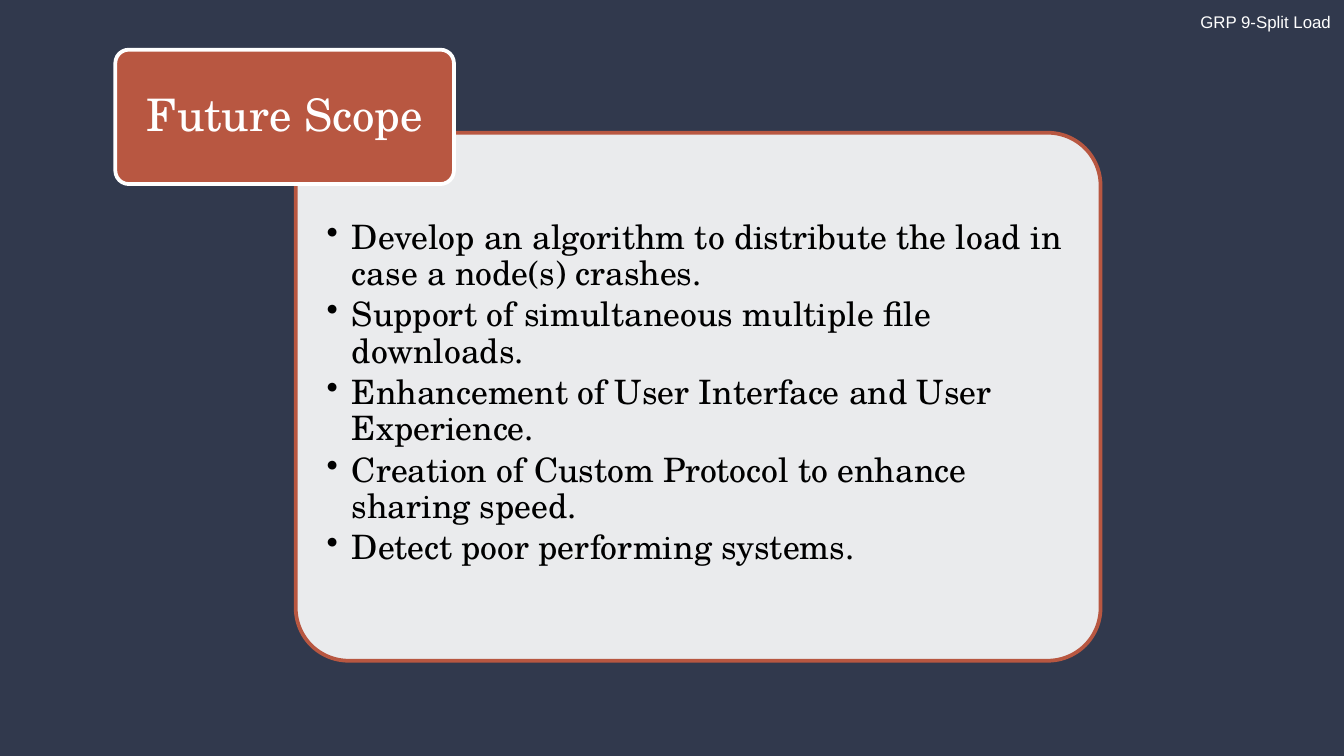
"""Build the Future Scope slide: a title tab over a card of bullet points."""
from lxml import etree
from pptx import Presentation
from pptx import util as u
from pptx.dml.color import RGBColor
from pptx.enum import shapes, text
from pptx.oxml.ns import qn

COLOURS = {"night": "31394D", "rust": "B85741", "white": "FFFFFF", "black": "000000"}
SERIF = "TeX Gyre Schola"
POINTS = [
    "Develop an algorithm to distribute the load in case a node(s) crashes.",
    "Support of simultaneous multiple file downloads.",
    "Enhancement of User Interface and User Experience.",
    "Creation of Custom Protocol to enhance sharing speed.",
    "Detect poor performing systems.",
]


def colour(name):
    return RGBColor.from_string(COLOURS[name])


def set_fill_opacity(shape, percent):
    tint = shape.fill._xPr.find(qn("a:solidFill"))[0]
    etree.SubElement(tint, qn("a:alpha"), val=str(percent * 1000))


def add_bullet(paragraph, indent):
    properties = paragraph._p.get_or_add_pPr()
    properties.set("marL", str(int(indent)))
    properties.set("indent", str(-int(indent)))
    tint = etree.SubElement(properties, qn("a:buClr"))
    etree.SubElement(tint, qn("a:srgbClr"), val=COLOURS["black"])
    etree.SubElement(properties, qn("a:buChar"), char="•")


def style_paragraph(paragraph, words, size, ink, align, face=SERIF):
    paragraph.text = words
    paragraph.alignment = align
    paragraph.font.size = u.Pt(size)
    paragraph.font.name = face
    paragraph.font.color.rgb = colour(ink)


def add_panel(page, left, top, width, height, fill, line):
    panel = page.shapes.add_shape(
        shapes.MSO_SHAPE.ROUNDED_RECTANGLE,
        u.Cm(left), u.Cm(top), u.Cm(width), u.Cm(height))
    panel.adjustments[0] = 0.1
    panel.shadow.inherit = False
    panel.fill.solid()
    panel.fill.fore_color.rgb = colour(fill)
    panel.line.color.rgb = colour(line)
    panel.line.width = u.Pt(2)
    panel.text_frame.word_wrap = True
    return panel


def add_label(page):
    box = page.shapes.add_textbox(u.Cm(22.4), u.Cm(0.1), u.Cm(3), u.Cm(0.64))
    box.text_frame.word_wrap = True
    style_paragraph(box.text_frame.paragraphs[0], "GRP 9-Split Load", 9, "white",
                    text.PP_ALIGN.RIGHT, "Arial")


def add_points_card(page):
    card = add_panel(page, 5.59, 2.51, 15.21, 9.98, "white", "rust")
    set_fill_opacity(card, 90)
    frame = card.text_frame
    frame.vertical_anchor = text.MSO_ANCHOR.TOP
    frame.margin_left, frame.margin_right = u.Cm(0.29), u.Cm(0.32)
    frame.margin_top = u.Cm(1.36)
    for number, words in enumerate(POINTS):
        paragraph = frame.add_paragraph() if number else frame.paragraphs[0]
        add_bullet(paragraph, u.Cm(0.48))
        paragraph.line_spacing = 0.9
        paragraph.space_after = u.Pt(2.7)
        style_paragraph(paragraph, words, 18, "black", text.PP_ALIGN.LEFT)


def add_title_tab(page):
    tab = add_panel(page, 2.18, 0.94, 6.4, 2.54, "rust", "white")
    frame = tab.text_frame
    frame.vertical_anchor = text.MSO_ANCHOR.MIDDLE
    frame.margin_left = frame.margin_right = u.Cm(0.13)
    frame.paragraphs[0].line_spacing = 0.9
    style_paragraph(frame.paragraphs[0], "Future Scope", 24, "white",
                    text.PP_ALIGN.CENTER)


def main():
    deck = Presentation()
    deck.slide_width, deck.slide_height = u.Cm(25.4), u.Cm(14.29)
    page = deck.slides.add_slide(deck.slide_layouts[6])
    page.background.fill.solid()
    page.background.fill.fore_color.rgb = colour("night")
    add_label(page)
    add_points_card(page)
    add_title_tab(page)
    deck.save("out.pptx")


if __name__ == "__main__":
    main()
